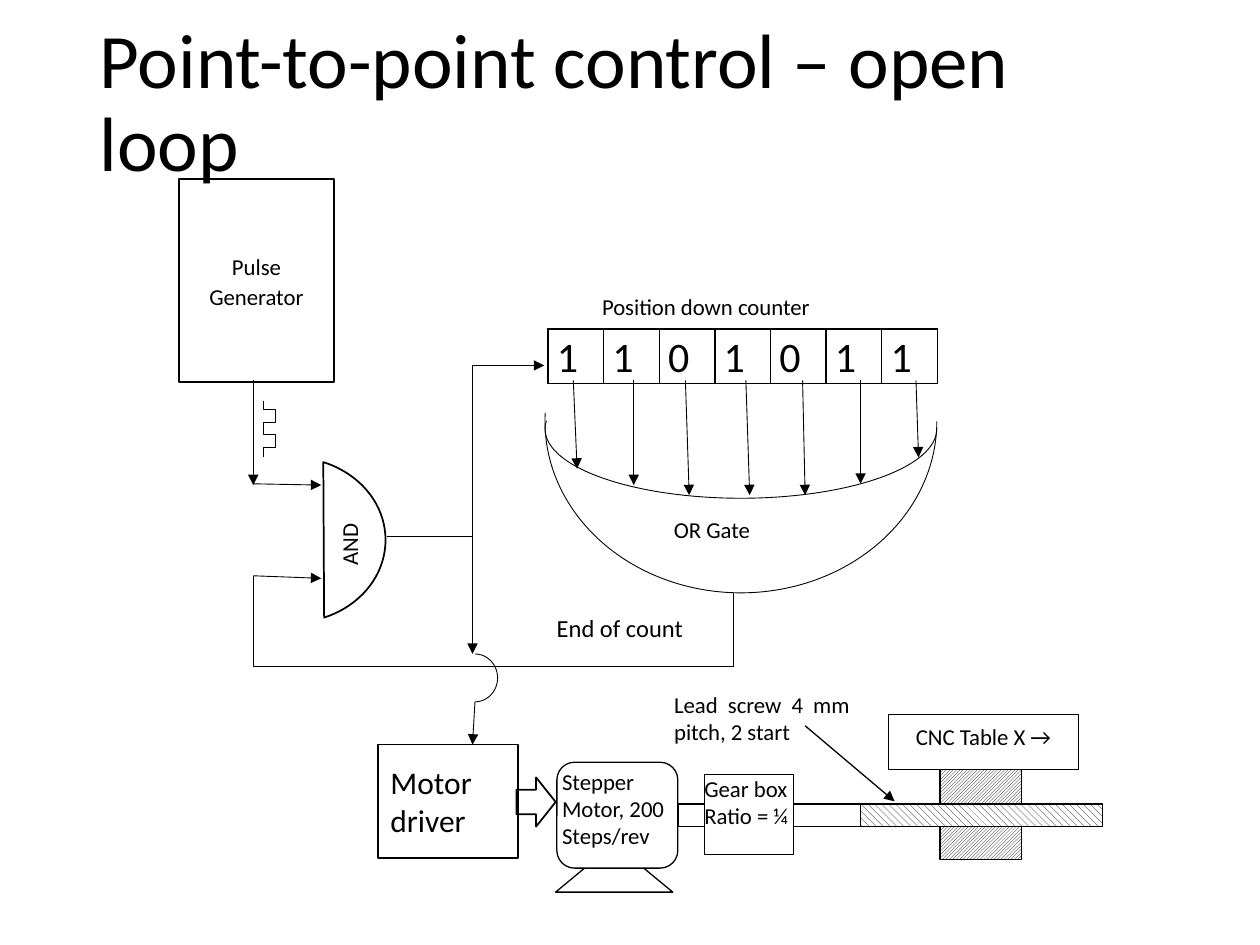
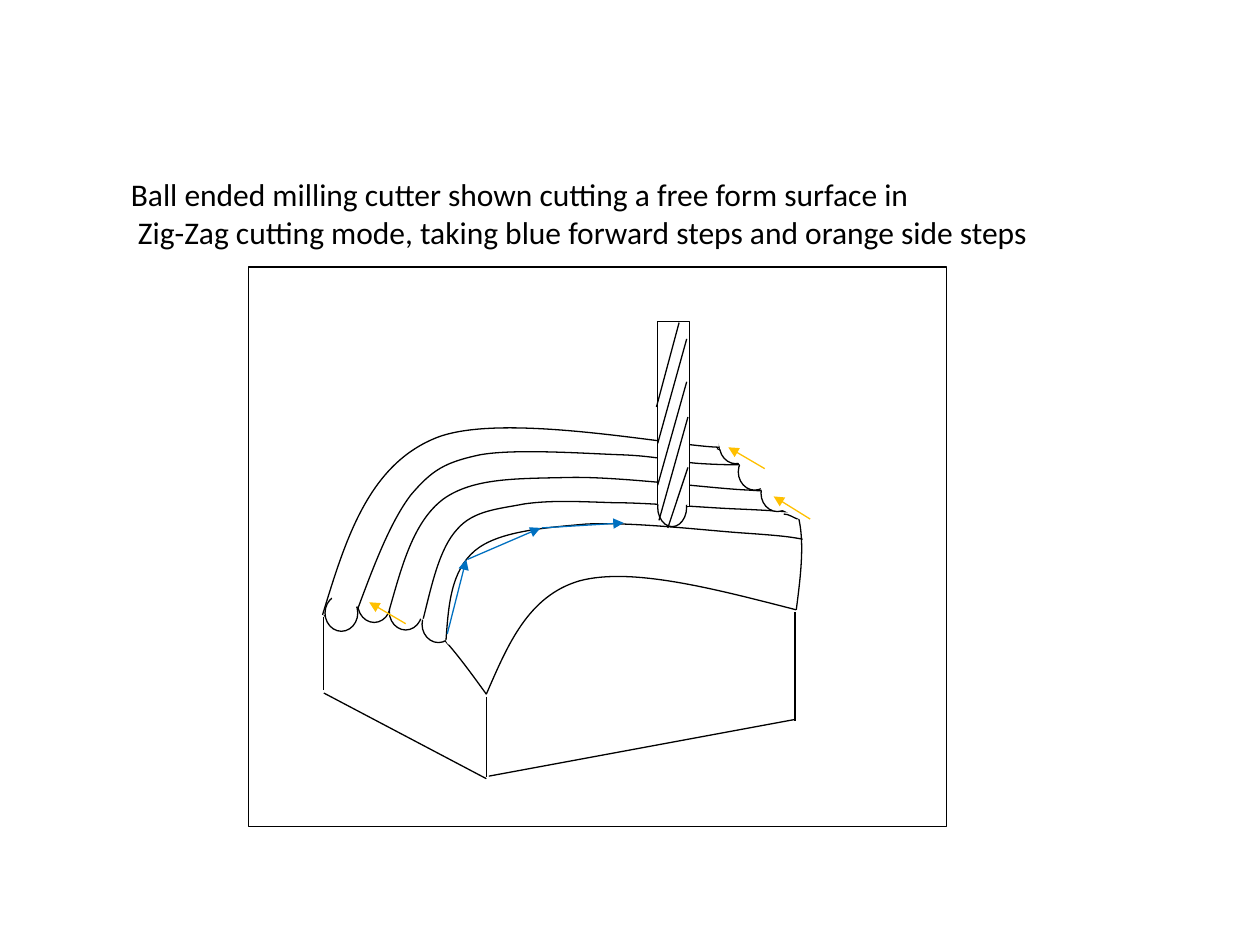
from pptx import Presentation
from pptx.dml.color import RGBColor
from pptx.enum.dml import MSO_PATTERN
from pptx.enum.shapes import MSO_CONNECTOR, MSO_SHAPE
from pptx.enum.text import MSO_ANCHOR, PP_ALIGN
from pptx.oxml.ns import qn
from pptx.util import Inches, Pt
from lxml import etree

BLACK = RGBColor(0, 0, 0)
WHITE = RGBColor(255, 255, 255)
BLUE = RGBColor(0, 0x70, 0xC0)
ORANGE = RGBColor(0xFF, 0xC0, 0)
FONT = "Calibri"
STRAIGHT = MSO_CONNECTOR.STRAIGHT
RECT, ELLIPSE, ARC = MSO_SHAPE.RECTANGLE, MSO_SHAPE.OVAL, MSO_SHAPE.ARC
CHORD, BLOCK_ARROW = MSO_SHAPE.CHORD, MSO_SHAPE.RIGHT_ARROW
PROCESS, ROUNDED = MSO_SHAPE.FLOWCHART_PROCESS, MSO_SHAPE.FLOWCHART_ALTERNATE_PROCESS
NUT_HATCH = MSO_PATTERN.LIGHT_UPWARD_DIAGONAL
SCREW_HATCH = MSO_PATTERN.WIDE_DOWNWARD_DIAGONAL
TOP, MIDDLE = MSO_ANCHOR.TOP, MSO_ANCHOR.MIDDLE
LEFT, CENTER, JUSTIFY = PP_ALIGN.LEFT, PP_ALIGN.CENTER, PP_ALIGN.JUSTIFY
PAD, NO_PAD = (0.1, 0.05), (0, 0)

TITLE = "Point-to-point control – open loop"
COUNTER_BITS = "1101011"
COUNTER_BOX = (4.35, 2.61, 3.09, 0.42)

DRIVE_SHAPES = [
    (ROUNDED, (4.42, 6.05, 0.96, 0.84), dict(text="Stepper Motor, 200 Steps/rev", pad=NO_PAD)),
    (RECT, (5.38, 6.38, 3.09, 0.18), {}),
    (PROCESS, (5.59, 6.15, 0.71, 0.63), dict(text="Gear box Ratio = ¼", pad=NO_PAD)),
    (RECT, (7.46, 6.11, 0.65, 0.71), dict(pattern=NUT_HATCH)),
    (RECT, (6.83, 6.38, 1.92, 0.18), dict(pattern=SCREW_HATCH)),
    (PROCESS, (7.05, 5.67, 1.51, 0.44), dict(text="CNC Table X →", align=CENTER, spacing=1.07)),
    (RECT, (5.35, 5.48, 1.39, 0.51),
     dict(text="Lead screw 4 mm pitch, 2 start", pad=NO_PAD, line=None, align=JUSTIFY)),
    (BLOCK_ARROW, (4.1, 6.17, 0.31, 0.39), dict(width=1)),
    (RECT, (3, 5.91, 1.11, 0.9),
     dict(text="Motor driver", size=18, fill=None, width=1, anchor=MIDDLE)),
]
LOGIC_SHAPES = [
    (CHORD, (1.58, 3.63, 1.48, 1.31), dict(width=1, rot=180, adj=(67.012, 148.619))),
    (ARC, (4.52, 1.79, 2.72, 3.11), dict(fill=None, width=0.5, rot=90, adj=(162, 55.485))),
    (ARC, (5.33, 1.85, 1.1, 3.11), dict(fill=None, width=0.5, rot=90, adj=(162, 55.485))),
    (ARC, (3.59, 5.19, 0.36, 0.38), dict(fill=None, width=0.5, adj=(162, 54))),
    (RECT, (1.42, 1.42, 1.23, 1.61),
     dict(text="Pulse Generator", width=1, align=CENTER, anchor=MIDDLE, spacing=1.07)),
    (RECT, (4.32, 4.8, 1.33, 0.41), dict(text="End of count", size=14, line=None, spacing=1.07)),
    (RECT, (5.25, 4.03, 1.33, 0.41), dict(text="OR Gate", line=None, spacing=1.07)),
]
MOTOR_STAND = [(4.41, 7.08), (4.64, 6.89), (5.11, 6.89), (5.34, 7.08)]
PULSE_X, PULSE_Y = (2.09, 2.19), (3.18, 3.25, 3.35, 3.45, 3.55, 3.63)

WIRES = [
    (2.01, 4.57, 2.01, 5.29), (2.01, 5.29, 5.82, 5.29), (5.82, 5.29, 5.82, 4.71),
    (3.07, 4.26, 3.75, 4.26), (3.75, 4.26, 3.75, 2.9),
]
SIGNALS = [
    (3.77, 5.57, 3.75, 5.91), (3.75, 2.9, 4.32, 2.9), (2.01, 3.84, 2.55, 3.85),
    (2.01, 4.57, 2.55, 4.59), (2.01, 3.02, 2.01, 3.85), (3.75, 4.26, 3.75, 5.19),
]
BIT_LINES = [
    (4.55, 4.58, 3.72), (5.03, 5.03, 3.85), (5.44, 5.47, 3.93), (5.92, 5.95, 3.93),
    (6.37, 6.39, 3.93), (6.83, 6.83, 3.84), (7.27, 7.29, 3.63),
]

CAPTION = [
    "Ball ended milling cutter shown cutting a free form surface in",
    " Zig-Zag cutting mode, taking blue forward steps and orange side steps",
]
BLOCK_CURVES = [
    [(2.56, 4.88), (2.74, 4.29), (2.92, 3.7), (3.45, 3.48), (3.97, 3.26), (5.33, 3.54), (5.71, 3.55)],
    [(2.57, 4.89), (2.79, 4.81), (3.01, 4.73), (3.22, 4.83), (3.44, 4.93), (3.65, 5.22), (3.86, 5.51)],
    [(3.86, 5.51), (4.03, 5.12), (4.19, 4.73), (4.6, 4.61), (5.01, 4.5), (5.66, 4.67), (6.32, 4.84)],
    [(5.69, 3.56), (5.94, 3.67), (6.19, 3.79), (6.3, 4), (6.4, 4.21), (6.36, 4.53), (6.32, 4.84)],
]
GROOVE_CURVES = [
    [(2.84, 4.83), (2.97, 4.48), (3.1, 4.14), (3.26, 3.93), (3.43, 3.73), (3.53, 3.67), (3.81, 3.61),
     (4.09, 3.56), (4.64, 3.6), (4.93, 3.61), (5.22, 3.62), (5.39, 3.67), (5.56, 3.68),
     (5.73, 3.69), (5.84, 3.69), (5.95, 3.69)],
    [(3.09, 4.84), (3.19, 4.49), (3.28, 4.14), (3.52, 3.96), (3.76, 3.79), (4.11, 3.8), (4.51, 3.79),
     (4.92, 3.78), (5.66, 3.88), (5.94, 3.89), (6.23, 3.91), (6.24, 3.9), (6.24, 3.89)],
    [(3.36, 4.91), (3.43, 4.63), (3.49, 4.35), (3.63, 4.2), (3.76, 4.05), (3.96, 4.04), (4.16, 4),
     (4.37, 3.97), (4.57, 3.98), (4.86, 3.99), (5.14, 3.99), (5.6, 4.03), (5.85, 4.04),
     (6.09, 4.05), (6.24, 4.06), (6.32, 4.07)],
    [(3.54, 5.08), (3.56, 4.8), (3.58, 4.53), (3.77, 4.37), (3.95, 4.22), (4.3, 4.19), (4.65, 4.16),
     (5.01, 4.14), (5.6, 4.21), (5.89, 4.23), (6.18, 4.25), (6.27, 4.26), (6.37, 4.28)],
]
CORNER_CURVE = [(6.33, 4.12), (6.3, 4.11), (6.26, 4.08), (6.22, 4.08)]
BALL_SIZE = (0.26, 0.29)
FRONT_BALLS = [(2.58, 4.72), (2.84, 4.65), (3.09, 4.71), (3.35, 4.81)]
BACK_BALLS = [(5.71, 3.39), (5.86, 3.6), (6.04, 3.77)]
FRONT_MASK = [
    (2.63, 4.72), (2.68, 4.84), (2.93, 4.79), (3.13, 4.84), (3.29, 4.88), (3.41, 4.94),
    (3.48, 4.96), (3.52, 5.04), (3.56, 5.11), (3.64, 5.1), (3.7, 5.04), (3.76, 4.88),
    (3.77, 4.69), (3.76, 4.49), (3.47, 4.35), (3.08, 4.36), (2.75, 4.51),
]
BACK_MASK = [
    (5.72, 3.56), (5.85, 3.65), (5.91, 3.73), (5.98, 3.79), (6.03, 3.85), (6.07, 3.93),
    (6.17, 4.03), (6.23, 4.05), (6.33, 4.11), (6.41, 4.13), (6.48, 4.12), (6.56, 4),
    (6.53, 3.39), (6.49, 3.23), (6.4, 3.15), (6.3, 3.04), (6.15, 3), (5.77, 3.15),
    (5.69, 3.25), (5.67, 3.33), (5.69, 3.45),
]
BLOCK_EDGES = [
    (3.86, 5.53, 3.86, 6.17), (6.31, 4.86, 6.31, 5.72), (2.57, 5.5, 3.86, 6.18),
    (3.88, 6.16, 6.31, 5.71), (2.57, 4.9, 2.57, 5.48),
]
CUTTER_FLUTES = [
    (5.45, 2.69, 5.22, 3.52), (5.45, 3.03, 5.22, 3.85), (5.46, 3.31, 5.23, 4.13),
    (5.46, 3.71, 5.3, 4.19), (5.39, 2.56, 5.21, 3.23),
]
FORWARD_STEPS = [(3.55, 5.03, 3.7, 4.44), (3.71, 4.44, 4.29, 4.19), (4.3, 4.19, 4.95, 4.15)]
SIDE_STEPS = [(6.43, 4.12, 6.14, 3.94), (3.22, 4.95, 2.93, 4.78), (6.07, 3.72, 5.78, 3.55)]


def lengths(values):
    return [Inches(v) for v in values]


def write(tf, lines, size, align=LEFT, anchor=TOP, pad=PAD, spacing=1.0):
    tf.word_wrap = True
    tf.vertical_anchor = anchor
    tf.margin_left = tf.margin_right = Inches(pad[0])
    tf.margin_top = tf.margin_bottom = Inches(pad[1])
    for i, line in enumerate(lines):
        p = tf.add_paragraph() if i else tf.paragraphs[0]
        p.alignment = align
        p.line_spacing = spacing
        r = p.add_run()
        r.text = line
        r.font.size = Pt(size)
        r.font.name = FONT
        r.font.color.rgb = BLACK


def paint(sp, fill, line, width):
    sp.shadow.inherit = False
    if fill is None:
        sp.fill.background()
    else:
        sp.fill.solid()
        sp.fill.fore_color.rgb = fill
    if line is None:
        sp.line.fill.background()
    else:
        sp.line.color.rgb = line
        sp.line.width = Pt(width)


def add_part(slide, kind, box, text="", size=13, fill=WHITE, line=BLACK, width=0.75,
             pattern=None, rot=0, adj=(), **layout):
    sp = slide.shapes.add_shape(kind, *lengths(box))
    paint(sp, fill, line, width)
    if pattern is not None:
        sp.fill.patterned()
        sp.fill.pattern = pattern
        sp.fill.fore_color.rgb = BLACK
        sp.fill.back_color.rgb = WHITE
    sp.rotation = rot
    for i, value in enumerate(adj):
        sp.adjustments[i] = value
    if text:
        write(sp.text_frame, [text], size, **layout)


def add_outline(slide, points, fill=None, line=BLACK, width=0.75, close=False):
    start, *rest = [lengths(pt) for pt in points]
    builder = slide.shapes.build_freeform(*start)
    builder.add_line_segments(rest, close=close)
    sp = builder.convert_to_shape()
    paint(sp, fill, line, width)
    return sp


def add_curve(slide, points):
    path = add_outline(slide, points)._element.find(".//" + qn("a:path"))
    segments = path.findall(qn("a:lnTo"))
    for i in range(0, len(segments), 3):
        curve, *others = segments[i:i + 3]
        curve.tag = qn("a:cubicBezTo")
        for other in others:
            curve.append(other[0])
            path.remove(other)


def add_lines(slide, ends, color=BLACK, width=0.75, arrow=False):
    for end in ends:
        cn = slide.shapes.add_connector(STRAIGHT, *lengths(end))
        cn.line.color.rgb = color
        cn.line.width = Pt(width)
        if arrow:
            etree.SubElement(cn.line._get_or_add_ln(), qn("a:tailEnd"), type="triangle")
        etree.SubElement(cn._element.spPr, qn("a:effectLst"))


def add_label(slide, box, lines, size, rot=0, **layout):
    sp = slide.shapes.add_textbox(*lengths(box))
    sp.rotation = rot
    write(sp.text_frame, lines, size, **layout)


def add_counter(slide):
    frame = slide.shapes.add_table(1, len(COUNTER_BITS), *lengths(COUNTER_BOX))
    for i, bit in enumerate(COUNTER_BITS):
        cell = frame.table.cell(0, i)
        cell.margin_left = cell.margin_right = Inches(0.07)
        cell.margin_top = cell.margin_bottom = 0
        write_cell = cell.text_frame.paragraphs[0]
        write_cell.line_spacing = 1.07
        r = write_cell.add_run()
        r.text = bit
        r.font.size = Pt(24)
        r.font.name = FONT
        r.font.bold = False
        r.font.color.rgb = BLACK
        tcPr = cell._tc.get_or_add_tcPr()
        for side in ("lnL", "lnR", "lnT", "lnB"):
            ln = etree.SubElement(tcPr, qn("a:" + side), w=str(Pt(1)))
            solid = etree.SubElement(ln, qn("a:solidFill"))
            etree.SubElement(solid, qn("a:srgbClr"), val=str(BLACK))
        cell.fill.background()


def build_control_slide(prs):
    slide = prs.slides.add_slide(prs.slide_layouts[5])
    add_counter(slide)
    add_label(slide, (4.68, 2.26, 2.1, 0.42), ["Position down counter"], 13, spacing=1.07)
    add_outline(slide, MOTOR_STAND, fill=WHITE, close=True)
    for kind, box, style in DRIVE_SHAPES + LOGIC_SHAPES:
        add_part(slide, kind, box, **style)
    add_label(slide, (2.37, 4.17, 0.8, 0.3), ["AND"], 13, rot=270, align=CENTER, anchor=MIDDLE)
    wave = [(PULSE_X[(i + j) % 2], y) for i, y in enumerate(PULSE_Y[1:-1]) for j in (0, 1)]
    add_outline(slide, [(PULSE_X[0], PULSE_Y[0]), *wave, (PULSE_X[0], PULSE_Y[-1])], width=0.5)
    add_lines(slide, WIRES, width=0.5)
    bits = [(x1, 3.02, x2, y2) for x1, x2, y2 in BIT_LINES]
    add_lines(slide, SIGNALS + bits, width=0.5, arrow=True)
    add_lines(slide, [(6.39, 5.76, 7.1, 6.36)], arrow=True)
    title = slide.shapes.title
    title.left, title.top, title.width, title.height = lengths((0.69, 0.4, 8.62, 0.87))
    write(title.text_frame, [TITLE], 44, anchor=MIDDLE, spacing=0.9)
    slide.shapes._spTree.append(title._element)


def build_milling_slide(prs):
    slide = prs.slides.add_slide(prs.slide_layouts[6])
    add_part(slide, RECT, (1.97, 2.12, 5.54, 4.44))
    for points in BLOCK_CURVES:
        add_curve(slide, points)
    for ball in FRONT_BALLS:
        add_part(slide, ELLIPSE, ball + BALL_SIZE)
    add_outline(slide, FRONT_MASK, fill=WHITE, line=WHITE, close=True)
    for points in GROOVE_CURVES:
        add_curve(slide, points)
    add_part(slide, RECT, (5.22, 2.55, 0.25, 1.47))
    add_part(slide, ELLIPSE, (5.22, 3.87, 0.23, 0.31))
    add_part(slide, RECT, (5.23, 3.76, 0.22, 0.24), line=WHITE)
    add_lines(slide, BLOCK_EDGES + CUTTER_FLUTES)
    for ball in BACK_BALLS:
        add_part(slide, ELLIPSE, ball + BALL_SIZE)
    add_outline(slide, BACK_MASK, fill=WHITE, line=WHITE, close=True)
    add_curve(slide, CORNER_CURVE)
    add_lines(slide, FORWARD_STEPS, color=BLUE, arrow=True)
    add_lines(slide, SIDE_STEPS, color=ORANGE, arrow=True)
    add_label(slide, (0.94, 1.34, 9, 0.71), CAPTION, 18)


def main():
    prs = Presentation()
    prs.slide_width, prs.slide_height = Inches(10), Inches(7.5)
    build_control_slide(prs)
    build_milling_slide(prs)
    prs.save("out.pptx")


if __name__ == "__main__":
    main()
